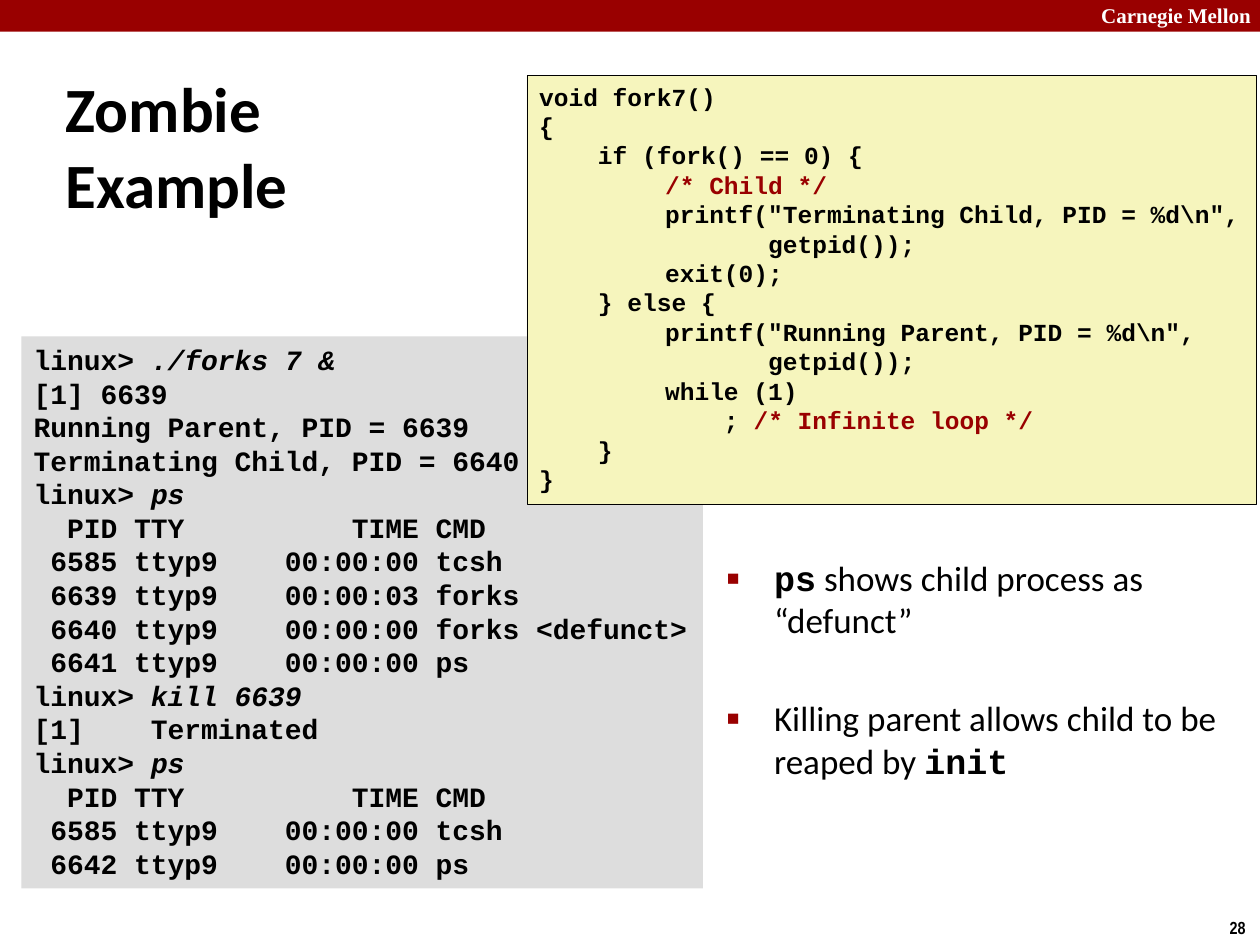
import dataclasses

import lxml.etree
import pptx
import pptx.dml.color
import pptx.enum.shapes
import pptx.enum.text
import pptx.oxml.ns
import pptx.util

Cm = pptx.util.Cm
Pt = pptx.util.Pt


@dataclasses.dataclass(frozen=True)
class Theme:
    # Colours
    ink: str = "000000"
    paper: str = "FFFFFF"
    accent: str = "990000"
    console: str = "DDDDDD"
    code: str = "F6F5BD"
    # Fonts
    sans: str = "Calibri"
    mono: str = "Courier New"
    serif: str = "Times New Roman"
    narrow: str = "Arial Narrow"
    # Type sizes in points
    title_size: int = 36
    body_size: int = 20
    console_size: int = 16
    code_size: int = 14
    header_size: int = 12
    number_size: int = 10
    mono_leading: float = 1.2


# "§" marks where the emphasised part of a line begins
CONSOLE = """\
linux> §./forks 7 &
[1] 6639
Running Parent, PID = 6639
Terminating Child, PID = 6640
linux> §ps
  PID TTY          TIME CMD
 6585 ttyp9    00:00:00 tcsh
 6639 ttyp9    00:00:03 forks
 6640 ttyp9    00:00:00 forks <defunct>
 6641 ttyp9    00:00:00 ps
linux>§ kill 6639
[1]    Terminated
linux> §ps
  PID TTY          TIME CMD
 6585 ttyp9    00:00:00 tcsh
 6642 ttyp9    00:00:00 ps"""

CODE = """\
void fork7()
{
    if (fork() == 0) {
\t§/* Child */
\tprintf("Terminating Child, PID = %d\\n",
\t       getpid());
\texit(0);
    } else {
\tprintf("Running Parent, PID = %d\\n",
\t       getpid());
\twhile (1)
\t    ; §/* Infinite loop */
    }
}"""


def rgb(value):
    return pptx.dml.color.RGBColor.from_string(value)


def add_text(para, text, font, size, color, bold=False, italic=False):
    span = para.add_run()
    span.text = text
    span.font.name = font
    span.font.size = Pt(size)
    span.font.color.rgb = rgb(color)
    span.font.bold = bold
    span.font.italic = italic


def add_property(parent, tag, **attributes):
    return lxml.etree.SubElement(parent, pptx.oxml.ns.qn(tag), attributes)


class SlideBuilder:
    def __init__(self, theme, page):
        self.theme = theme
        self.page = page

    def place(self, shape, left, top, width, height):
        shape.left, shape.top = Cm(left), Cm(top)
        shape.width, shape.height = Cm(width), Cm(height)

    def title(self, lines, *place):
        box = self.page.shapes.title
        self.place(box, *place)
        box.text_frame.auto_size = pptx.enum.text.MSO_AUTO_SIZE.NONE
        box.text_frame.vertical_anchor = pptx.enum.text.MSO_ANCHOR.MIDDLE
        para = box.text_frame.paragraphs[0]
        para.alignment = pptx.enum.text.PP_ALIGN.LEFT
        for index, line in enumerate(lines):
            if index:
                para.add_line_break()
            add_text(para, line, self.theme.sans, self.theme.title_size,
                     self.theme.ink, bold=True)

    def bullets(self, items, gap, *place):
        box = self.page.placeholders[1]
        self.place(box, *place)
        frame = box.text_frame
        frame.auto_size = pptx.enum.text.MSO_AUTO_SIZE.NONE
        for index, parts in enumerate(items):
            para = frame.add_paragraph() if index else frame.paragraphs[0]
            properties = para._p.get_or_add_pPr()
            properties.set("marL", str(Cm(0.95)))
            properties.set("indent", str(Cm(-0.95)))
            color = add_property(properties, "a:buClr")
            add_property(color, "a:srgbClr", val=self.theme.accent)
            add_property(properties, "a:buSzPct", val="60000")
            add_property(properties, "a:buChar", char="■")
            para.space_before = Pt(gap if index else 0)
            for text, is_code in parts:
                font = self.theme.mono if is_code else self.theme.sans
                add_text(para, text, font, self.theme.body_size,
                         self.theme.ink, bold=is_code)

    def rectangle(self, fill, *place, outline=None):
        box = self.page.shapes.add_shape(
            pptx.enum.shapes.MSO_SHAPE.RECTANGLE, *map(Cm, place))
        box.shadow.inherit = False
        box.fill.solid()
        box.fill.fore_color.rgb = rgb(fill)
        if outline:
            box.line.color.rgb = rgb(outline)
            box.line.width = Pt(0.25)
        else:
            box.line.fill.background()
        return box

    def listing(self, text, size, fill, *place, outline=None, **emphasis):
        frame = self.rectangle(fill, *place, outline=outline).text_frame
        frame.word_wrap = False
        frame.vertical_anchor = pptx.enum.text.MSO_ANCHOR.TOP
        plain = dict(font=self.theme.mono, size=size,
                     color=self.theme.ink, bold=True)
        for index, line in enumerate(text.split("\n")):
            para = frame.add_paragraph() if index else frame.paragraphs[0]
            if "\t" in line:
                tabs = add_property(para._p.get_or_add_pPr(), "a:tabLst")
                add_property(tabs, "a:tab", pos=str(Cm(2.54)), algn="l")
            para.alignment = pptx.enum.text.PP_ALIGN.LEFT
            para.line_spacing = Pt(size * self.theme.mono_leading)
            start, _, marked = line.partition("§")
            add_text(para, start, **plain)
            if marked:
                add_text(para, marked, **{**plain, **emphasis})

    def label(self, text, font, size, color, *place, wrap=True):
        box = self.page.shapes.add_textbox(*map(Cm, place))
        box.text_frame.word_wrap = wrap
        add_text(box.text_frame.paragraphs[0], text, font, size, color,
                 bold=True)


def main():
    deck = pptx.Presentation()
    deck.slide_width, deck.slide_height = Cm(25.4), Cm(19.05)
    page = deck.slides.add_slide(deck.slide_layouts[1])
    theme = Theme()
    builder = SlideBuilder(theme, page)

    # Header band and slide number
    builder.rectangle(theme.accent, 0, 0, 25.4, 0.64)
    builder.label("Carnegie Mellon", theme.serif, theme.header_size,
                  theme.paper, 21.95, -0.08, 3.63, 0.76)
    builder.label("28", theme.narrow, theme.number_size, theme.ink,
                  24.54, 18.36, 0.86, 0.69, wrap=False)

    # Title and remarks
    builder.title(["Zombie", "Example"], 1.07, 1.4, 5.56, 3.05)
    builder.bullets([
        [("ps", True), (" shows child process as “defunct”", False)],
        [("Killing parent allows child to be reaped by ", False),
         ("init", True)],
    ], 32, 14.4, 11.1, 11, 7.32)

    # Console session, with the program on top of it
    builder.listing(CONSOLE, theme.console_size, theme.console,
                    0.43, 6.78, 13.74, 11.13, italic=True)
    builder.listing(CODE, theme.code_size, theme.code,
                    10.62, 1.52, 14.71, 8.64,
                    outline=theme.ink, color=theme.accent)

    deck.save("out.pptx")


if __name__ == "__main__":
    main()
